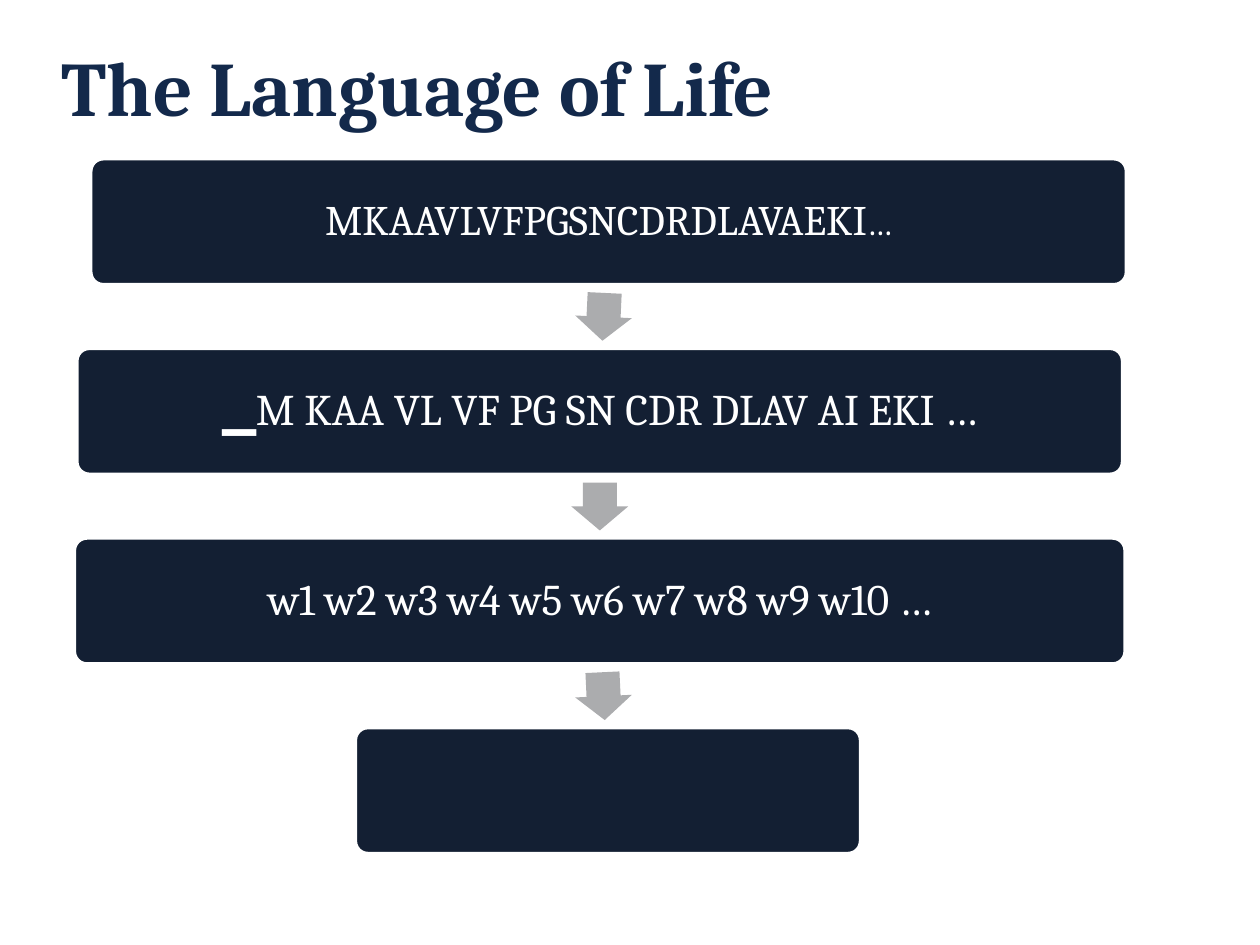
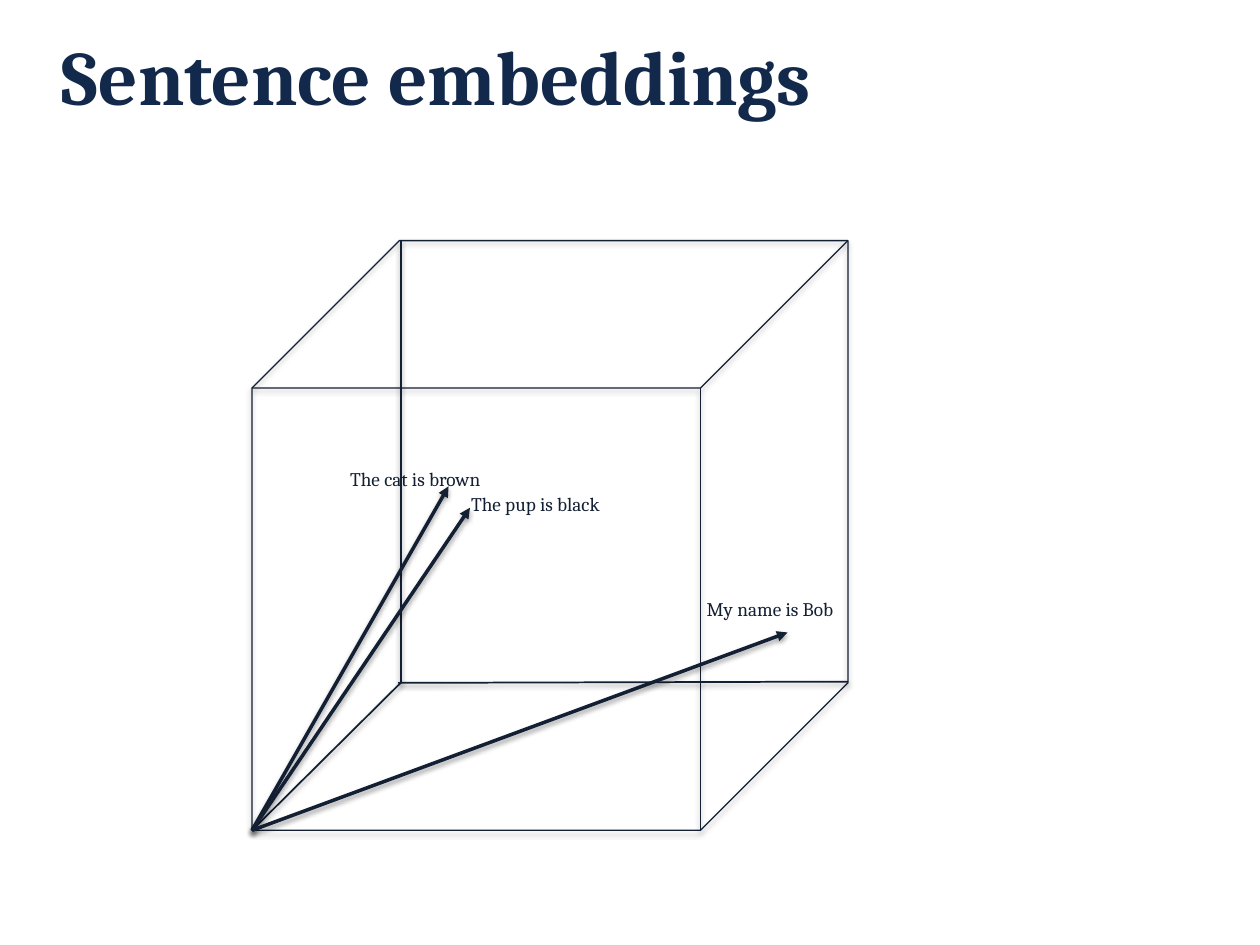
import pptx
import pptx.dml.color
import pptx.enum.shapes
import pptx.enum.text
import pptx.oxml.ns
import pptx.util
from lxml import etree

Inches = pptx.util.Inches
Pt = pptx.util.Pt
qn = pptx.oxml.ns.qn
SHAPE = pptx.enum.shapes.MSO_SHAPE
ANCHOR = pptx.enum.text.MSO_ANCHOR
ALIGN = pptx.enum.text.PP_ALIGN

FONT = "Cambria"
COLORS = {"title": "13294B", "ink": "131F33", "arrow": "ABACAE",
          "white": "FFFFFF", "shadow": "000000"}

# Each step: left, width, text runs as (text, size)
STEPS = [
    (0.72, 8.22, [("MKAAVLVFPGSNCDRDLAVAEKI", 24), ("…", 19)]),
    (0.61, 8.3, [("▁M KAA VL VF PG SN CDR DLAV AI EKI …", 25)]),
    (0.59, 8.34, [("w1 w2 w3 w4 w5 w6 w7 w8 w9 w10 …", 25)]),
    (2.82, 4.01, []),
]
STEP_TOP, STEP_PITCH, STEP_HEIGHT = 1.26, 1.505, 1
# Left and rotation of the arrow below each step but the last
STEP_ARROWS = [(4.6, 92.7), (4.57, 90), (4.6, 87.3)]

CUBE = (2, 1.91, 4.73, 4.68)
ORIGIN = (2, 6.59)
HIDDEN_EDGES = [
    ((3.18, 1.91), (3.18, 5.41)),
    ((3.19, 5.41), ORIGIN),
    ((6.73, 5.41), (3.16, 5.42)),
]
# Each sentence: text, tip of its vector, left and top of its label
SENTENCES = [
    ("The cat is brown", (3.56, 3.86), (2.68, 3.66)),
    ("The pup is black", (3.73, 4.03), (3.64, 3.86)),
    ("My name is Bob", (6.25, 5.02), (5.51, 4.69)),
]


def rgb(name):
    return pptx.dml.color.RGBColor.from_string(COLORS[name])


def write(shape, spans, color="ink", bold=False, align=ALIGN.LEFT,
          anchor=ANCHOR.TOP, spacing=1.0):
    """Put (text, size) spans into the one paragraph of a shape."""
    frame = shape.text_frame
    frame.word_wrap = True
    frame.vertical_anchor = anchor
    para = frame.paragraphs[0]
    para.alignment = align
    para.line_spacing = spacing
    for text, size in spans:
        span = para.add_run()
        span.text = text
        span.font.name = FONT
        span.font.size = Pt(size)
        span.font.bold = bold
        span.font.color.rgb = rgb(color)


def add_page(deck, title, top):
    page = deck.slides.add_slide(deck.slide_layouts[5])
    box = page.shapes.title
    box.left, box.top, box.width, box.height = map(Inches, (0.42, top, 7.7, 1.25))
    frame = box.text_frame
    frame.auto_size = pptx.enum.text.MSO_AUTO_SIZE.NONE
    frame.margin_left, frame.margin_top = Inches(0.07), Inches(0.01)
    write(box, [(title, 44)], color="title", bold=True)
    return page


def add_block(page, kind, bounds, fill=None, line=None, width=1, adjust=()):
    block = page.shapes.add_shape(kind, *map(Inches, bounds))
    block.shadow.inherit = False
    for index, value in enumerate(adjust):
        block.adjustments[index] = value
    if fill:
        block.fill.solid()
        block.fill.fore_color.rgb = rgb(fill)
    else:
        block.fill.background()
    if line:
        block.line.color.rgb = rgb(line)
        block.line.width = Pt(width)
    else:
        block.line.fill.background()
    return block


def drop_shadow(shape, opacity, distance):
    properties = shape.element.spPr
    effects = properties.find(qn("a:effectLst"))
    if effects is None:
        effects = etree.SubElement(properties, qn("a:effectLst"))
    shadow = etree.SubElement(effects, qn("a:outerShdw"), blurRad=str(Pt(3.1)),
                              dist=str(Pt(distance)), dir="5400000", rotWithShape="0")
    color = etree.SubElement(shadow, qn("a:srgbClr"), val=COLORS["shadow"])
    etree.SubElement(color, qn("a:alpha"), val=str(opacity * 1000))


def add_line(page, start, end, width, arrow=False):
    line = page.shapes.add_connector(pptx.enum.shapes.MSO_CONNECTOR.STRAIGHT,
                                     *map(Inches, start + end))
    line.line.color.rgb = rgb("ink")
    line.line.width = Pt(width)
    if arrow:
        etree.SubElement(line.element.spPr.find(qn("a:ln")), qn("a:tailEnd"), type="triangle")
    drop_shadow(line, 38, 1.6)


def build_language(deck):
    page = add_page(deck, "The Language of Life", 0.3)
    for index, (left, width, spans) in enumerate(STEPS):
        top = STEP_TOP + index * STEP_PITCH
        step = add_block(page, SHAPE.ROUNDED_RECTANGLE, (left, top, width, STEP_HEIGHT),
                         fill="ink", line="white", width=2, adjust=[0.1])
        if spans:
            write(step, spans, color="white", align=ALIGN.CENTER,
                  anchor=ANCHOR.MIDDLE, spacing=0.9)
        if index < len(STEP_ARROWS):
            arrow_left, rotation = STEP_ARROWS[index]
            arrow = add_block(page, SHAPE.RIGHT_ARROW,
                              (arrow_left, top + STEP_HEIGHT + 0.03, 0.38, 0.45),
                              fill="arrow", adjust=[0.6, 0.5])
            arrow.rotation = rotation


def build_embeddings(deck):
    page = add_page(deck, "Sentence embeddings", 0.22)
    cube = add_block(page, SHAPE.CUBE, CUBE, line="ink", width=0.75)
    drop_shadow(cube, 35, 1.8)
    for start, end in HIDDEN_EDGES:
        add_line(page, start, end, 1)
    for text, tip, (left, top) in SENTENCES:
        add_line(page, ORIGIN, tip, 2, arrow=True)
        label = page.shapes.add_textbox(*map(Inches, (left, top, 1.41, 0.29)))
        write(label, [(text, 11)])


def main():
    deck = pptx.Presentation()
    deck.slide_width, deck.slide_height = Inches(10), Inches(7.5)
    build_language(deck)
    build_embeddings(deck)
    deck.save("out.pptx")


if __name__ == "__main__":
    main()
